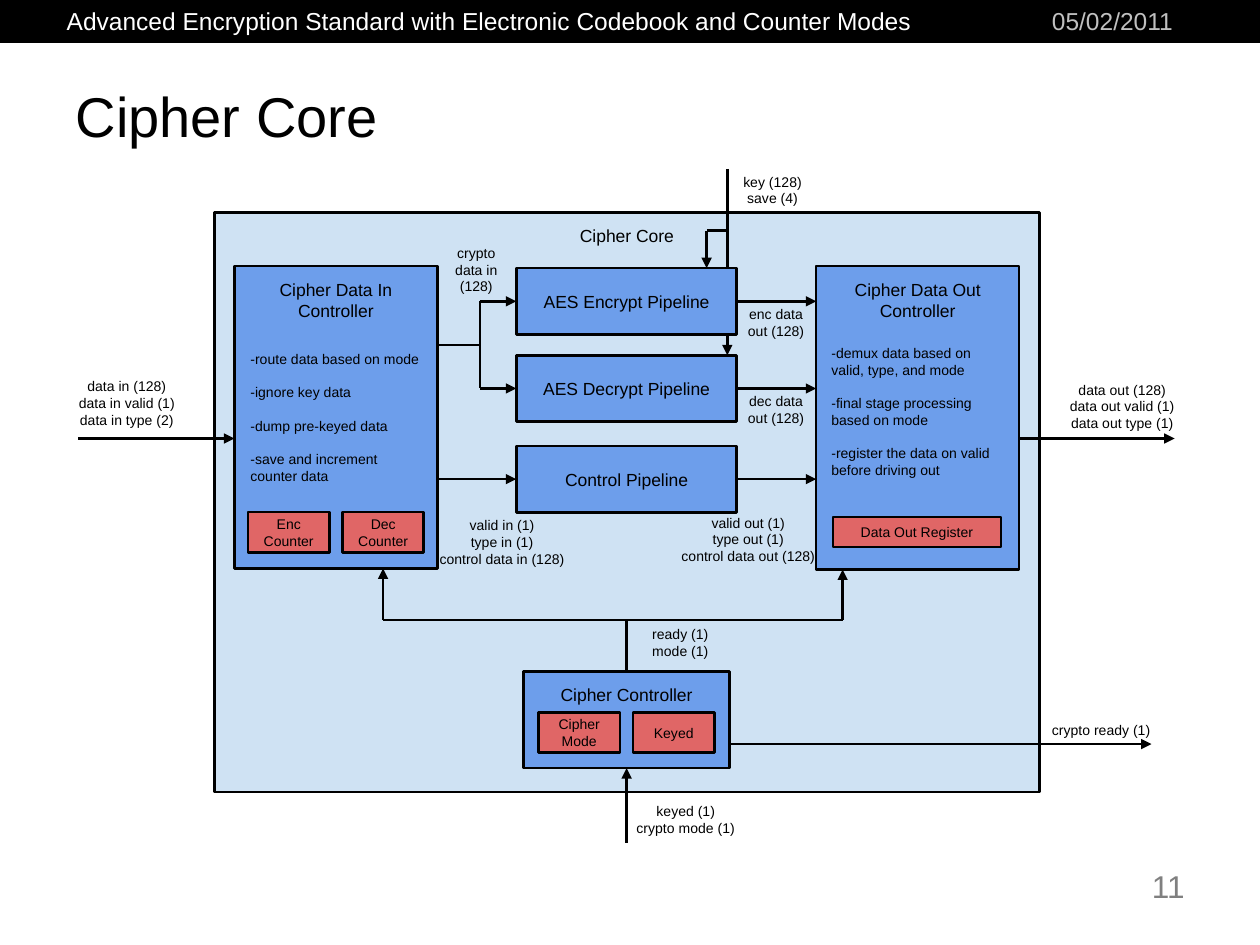
from lxml import etree
from pptx import Presentation
from pptx.dml.color import RGBColor
from pptx.enum.shapes import MSO_CONNECTOR, MSO_SHAPE
from pptx.enum.text import MSO_ANCHOR, PP_ALIGN
from pptx.oxml.ns import qn
from pptx.util import Pt

RECTANGLE, STRAIGHT = MSO_SHAPE.RECTANGLE, MSO_CONNECTOR.STRAIGHT
TOP, MIDDLE = MSO_ANCHOR.TOP, MSO_ANCHOR.MIDDLE
LEFT, CENTER, RIGHT = PP_ALIGN.LEFT, PP_ALIGN.CENTER, PP_ALIGN.RIGHT

COLORS = {
    "ink": "000000", "paper": "FFFFFF", "date": "C0C0C0", "number": "808080",
    "core": "CFE2F3", "block": "6D9EEB", "register": "E06666",
}
FONT = "Arial"
LINE_WIDTH = 1.5
NOTE_GAP = 9.5

HEADER = "Advanced Encryption Standard with Electronic Codebook and Counter Modes"
DATE = "05/02/2011"
TITLE = "Cipher Core"
SLIDE_NUMBER = "11"

CORE = (122.4, 121.5, 471.6, 331.2)
DATA_IN = (133.9, 152, 116, 172.8)
DATA_OUT = (466.4, 152, 116, 173.5)
CONTROLLER = (299.2, 383.6, 117.7, 55.4)
CONTROLLERS = [
    ("Cipher Data In Controller", DATA_IN),
    ("Cipher Data Out Controller", DATA_OUT),
    ("Cipher Controller", CONTROLLER),
]

PIPELINE_LEFT, PIPELINE_WIDTH, PIPELINE_HEIGHT = 295, 126, 38
PIPELINES = [
    ("AES Encrypt Pipeline", 153.2),
    ("AES Decrypt Pipeline", 203),
    ("Control Pipeline", 254.8),
]

REGISTER_SIZE = (46.4, 23)
REGISTER_PITCH = 54
REGISTER_PAIRS = [
    (("Enc Counter", "Dec Counter"), 141.8, 292.6),
    (("Cipher Mode", "Keyed"), 307.8, 407.2),
]
DATA_OUT_REGISTER = ("Data Out Register", (476, 295.4, 96, 17.3))

LABELS = [
    ("data in (128)\ndata in valid (1)\ndata in type (2)", (22, 212.7, 101, 35)),
    ("data out (128)\ndata out valid (1)\ndata out type (1)", (592.3, 214.7, 98, 35)),
    ("key (128)\nsave (4)", (415.2, 96, 52.6, 25)),
    ("crypto data in (128)", (247, 141.8, 50.4, 24.5)),
    ("enc data out (128)", (418.3, 172.1, 50.4, 24.5)),
    ("dec data out (128)", (418.3, 221.8, 50.4, 24.5)),
    ("valid in (1)\ntype in (1)\ncontrol data in (128)", (233.6, 287.3, 106.6, 44.6)),
    ("valid out (1)\ntype out (1)\ncontrol data out (128)", (375.8, 283.7, 103.7, 49)),
    ("keyed (1)\ncrypto mode (1)", (354.4, 454.3, 75, 27.4)),
    ("ready (1)\nmode (1)", (357.8, 355, 62, 23.8)),
    ("crypto ready (1)", (587.5, 409, 83.5, 16.6)),
]

NOTES = [
    ("-route data based on mode\n-ignore key data\n-dump pre-keyed data\n"
     "-save and increment counter data", (136, 194.4, 111.6, 88)),
    ("-demux data based on valid, type, and mode\n"
     "-final stage processing based on mode\n"
     "-register the data on valid before driving out", (468, 191, 112.3, 88)),
]


def color(name):
    return RGBColor.from_string(COLORS[name])


def put_text(shape, words, size, ink="ink", align=CENTER, anchor=MIDDLE,
             gap=0, margin=7.2, wrap=True):
    frame = shape.text_frame
    frame.text = words
    frame.word_wrap = wrap
    frame.vertical_anchor = anchor
    frame.margin_left = frame.margin_right = Pt(7.2)
    frame.margin_top = frame.margin_bottom = Pt(margin)
    for index, paragraph in enumerate(frame.paragraphs):
        paragraph.alignment = align
        paragraph.space_before = Pt(gap if index else 0)
        for run in paragraph.runs:
            run.font.name = FONT
            run.font.size = Pt(size)
            run.font.color.rgb = color(ink)


def add_label(slide, words, box, size=8, **style):
    put_text(slide.shapes.add_textbox(*map(Pt, box)), words, size, **style)


def add_box(slide, box, fill, words="", size=10, width=LINE_WIDTH, **style):
    shape = slide.shapes.add_shape(RECTANGLE, *map(Pt, box))
    shape.shadow.inherit = False
    shape.fill.solid()
    shape.fill.fore_color.rgb = color(fill)
    shape.line.color.rgb = color("ink")
    shape.line.width = Pt(width)
    if words:
        put_text(shape, words, size, **style)


def add_wire(slide, points, arrow=True):
    for start, end in zip(points, points[1:]):
        wire = slide.shapes.add_connector(STRAIGHT, *map(Pt, start + end))
        wire.line.color.rgb = color("ink")
        wire.line.width = Pt(LINE_WIDTH)
        properties = wire._element.spPr
        if arrow and end == points[-1]:
            line = properties.find(qn("a:ln"))
            etree.SubElement(line, qn("a:tailEnd"), type="triangle")
        etree.SubElement(properties, qn("a:effectLst"))


def add_wires(slide):
    in_left, in_right = DATA_IN[0], DATA_IN[0] + DATA_IN[2]
    out_left, out_right = DATA_OUT[0], DATA_OUT[0] + DATA_OUT[2]
    in_bottom, out_bottom = DATA_IN[1] + DATA_IN[3], DATA_OUT[1] + DATA_OUT[3]
    controller_right = CONTROLLER[0] + CONTROLLER[2]
    controller_bottom = CONTROLLER[1] + CONTROLLER[3]
    pipeline_right = PIPELINE_LEFT + PIPELINE_WIDTH
    rows = [top + PIPELINE_HEIGHT / 2 for _, top in PIPELINES]
    encrypt_top, decrypt_top = PIPELINES[0][1], PIPELINES[1][1]
    data_row, fork, fork_row = 250.6, 274.3, 197.2
    key, key_branch, key_row = 415.6, 403.8, 131.8
    middle, bus_row, crypto_ready_row = 358.1, 354.3, 425.2

    add_wire(slide, [(44.8, data_row), (in_left, data_row)])
    add_wire(slide, [(out_right, data_row), (671.2, data_row)])
    add_wire(slide, [(key, 96.5), (key, decrypt_top)])
    add_wire(slide, [(key, key_row), (key_branch, key_row), (key_branch, encrypt_top)])
    add_wire(slide, [(in_right, fork_row), (fork, fork_row)], arrow=False)
    for row in rows[:2]:
        add_wire(slide, [(fork, fork_row), (fork, row), (PIPELINE_LEFT, row)])
    add_wire(slide, [(in_right, rows[2]), (PIPELINE_LEFT, rows[2])])
    for row in rows:
        add_wire(slide, [(pipeline_right, row), (out_left, row)])
    add_wire(slide, [(middle, CONTROLLER[1]), (middle, bus_row)], arrow=False)
    for column, bottom in ((218.9, in_bottom), (481.5, out_bottom)):
        add_wire(slide, [(middle, bus_row), (column, bus_row), (column, bottom)])
    add_wire(slide, [(controller_right, crypto_ready_row), (658, crypto_ready_row)])
    add_wire(slide, [(middle, 481.7), (middle, controller_bottom)])


def main():
    deck = Presentation()
    deck.slide_width, deck.slide_height = Pt(720), Pt(540)
    slide = deck.slides.add_slide(deck.slide_layouts[5])

    add_box(slide, (0, 0, 720, 24), "ink", width=0.75)
    add_label(slide, HEADER, (31, 0, 497.5, 24.5), 14, ink="paper",
              align=LEFT, anchor=TOP, margin=3.6, wrap=False)
    add_label(slide, DATE, (594, 0, 90, 18), 14, ink="date",
              align=LEFT, anchor=TOP, margin=3.6)
    add_label(slide, SLIDE_NUMBER, (612, 492, 72, 31.5), 18, ink="number",
              align=RIGHT, anchor=TOP, margin=3.6)

    title = slide.shapes.title
    title.left, title.top, title.width, title.height = map(Pt, (36, 36, 648, 60))
    put_text(title, TITLE, 32, align=LEFT, margin=3.6)

    add_box(slide, CORE, "core", TITLE, anchor=TOP)
    add_wires(slide)
    for name, box in CONTROLLERS:
        add_box(slide, box, "block", name, anchor=TOP)
    for name, top in PIPELINES:
        add_box(slide, (PIPELINE_LEFT, top, PIPELINE_WIDTH, PIPELINE_HEIGHT), "block", name)
    for names, left, top in REGISTER_PAIRS:
        for index, name in enumerate(names):
            box = (left + index * REGISTER_PITCH, top, *REGISTER_SIZE)
            add_box(slide, box, "register", name, 8)
    name, box = DATA_OUT_REGISTER
    add_box(slide, box, "register", name, 8)

    for words, box in LABELS:
        add_label(slide, words, box)
    for words, box in NOTES:
        add_label(slide, words, box, align=LEFT, gap=NOTE_GAP)

    deck.save("out.pptx")


if __name__ == "__main__":
    main()
